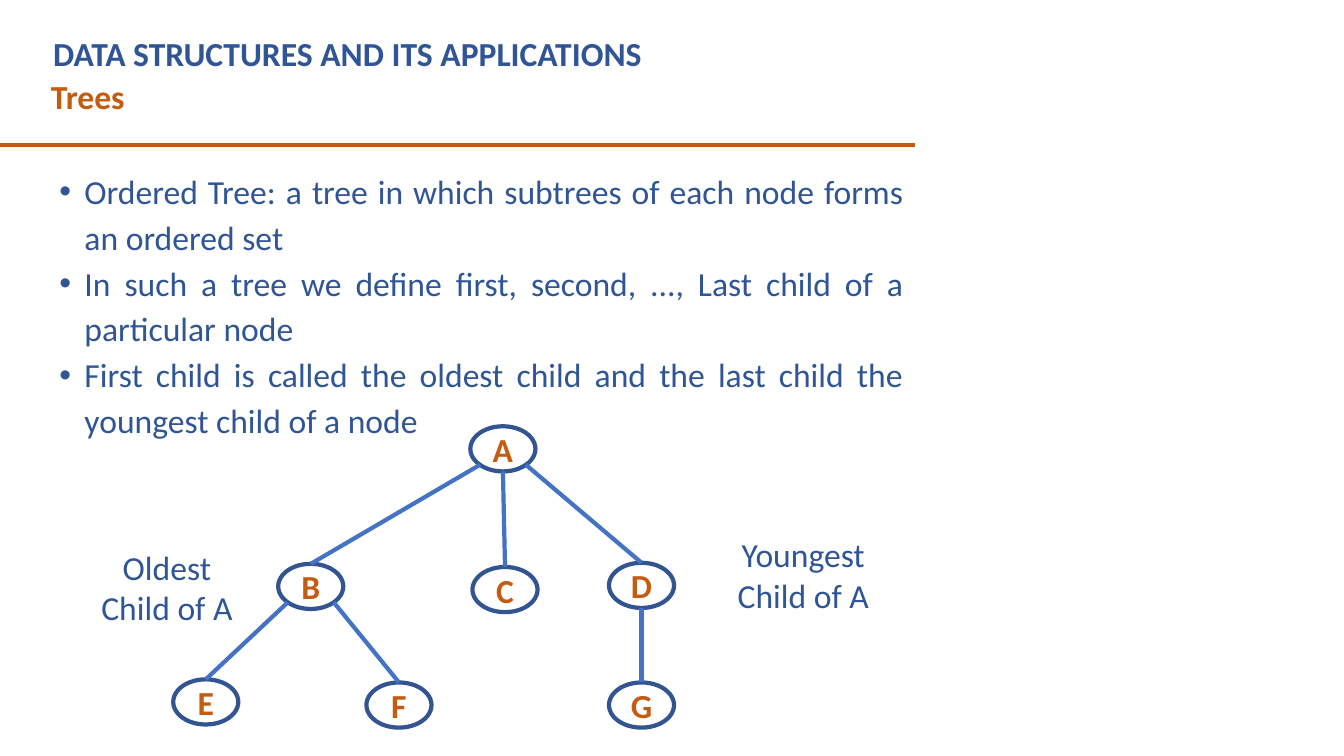
from math import sqrt

from lxml.etree import SubElement
from pptx import Presentation
from pptx.dml.color import RGBColor
from pptx.enum.shapes import MSO_CONNECTOR, MSO_SHAPE
from pptx.enum.text import MSO_ANCHOR, MSO_AUTO_SIZE, PP_ALIGN
from pptx.oxml.ns import qn
from pptx.util import Pt

PX = 9525
BLUE = "2F5597"
ORANGE = "C55A11"
OUTLINE = "325491"
EDGE = "4472C4"
WHITE = "FFFFFF"
NODE_W, NODE_H = 62, 43

BULLETS = [
    "Ordered Tree: a tree in which subtrees of each node forms an ordered set",
    "In such a tree we define first, second, ..., Last child of a particular node",
    "First child is called the oldest child and the last child the youngest child of a node",
]
NODES = {
    "A": (283, 0), "B": (100, 131), "C": (285, 134), "D": (415, 130),
    "E": (0, 241), "F": (184, 244), "G": (415, 244),
}
EDGES = [("A", "B", -1), ("A", "C", 0), ("A", "D", 1),
         ("B", "E", -1), ("B", "F", 1), ("D", "G", 0)]


def px(*values):
    return [round(v * PX) for v in values]


def rgb(value):
    return RGBColor.from_string(value)


def style(p, color, bold=False, align=PP_ALIGN.LEFT):
    p.alignment = align
    for r in p.runs:
        r.font.name = "Calibri"
        r.font.size = Pt(24)
        r.font.bold = bold
        r.font.color.rgb = rgb(color)


def add_text(s, box, text, color, bold=False, align=PP_ALIGN.LEFT):
    tf = s.shapes.add_textbox(*px(*box)).text_frame
    tf.word_wrap = True
    tf.text = text
    style(tf.paragraphs[0], color, bold, align)


def add_line(s, x1, y1, x2, y2, color):
    line = s.shapes.add_connector(MSO_CONNECTOR.STRAIGHT, *px(x1, y1, x2, y2))
    line.line.color.rgb = rgb(color)
    line.line.width = Pt(3)
    SubElement(line._element.spPr, qn("a:effectLst"))
    return line


def add_header(s, x, y, w):
    title = s.shapes.title
    title.left, title.top, title.width, title.height = px(x + 2, y, w - 53, 48)
    tf = title.text_frame
    tf.text = "DATA STRUCTURES AND ITS APPLICATIONS"
    tf.word_wrap = True
    tf.auto_size = MSO_AUTO_SIZE.NONE
    tf.vertical_anchor = MSO_ANCHOR.TOP
    style(tf.paragraphs[0], BLUE, bold=True)
    add_text(s, (x, y + 41, w, 48), "Trees", ORANGE, bold=True)
    add_line(s, -1, y + 111, 871, y + 111, ORANGE)


def add_bullets(s, x, y, w, h):
    tf = s.shapes.add_textbox(*px(x, y, w, h)).text_frame
    tf.word_wrap = True
    tf.margin_top = tf.margin_bottom = 0
    tf.text = "\n".join(BULLETS)
    for p in tf.paragraphs:
        pPr = p._p.get_or_add_pPr()
        pPr.set("marL", str(24 * PX))
        pPr.set("indent", str(-24 * PX))
        SubElement(pPr, qn("a:buFont")).set("typeface", "Arial")
        SubElement(pPr, qn("a:buChar")).set("char", "•")
        p.line_spacing = 1.14
        style(p, BLUE, align=PP_ALIGN.JUSTIFY)


def add_node(s, x, y, name):
    sp = s.shapes.add_shape(MSO_SHAPE.OVAL, *px(x, y, NODE_W, NODE_H))
    sp.shadow.inherit = False
    sp.fill.solid()
    sp.fill.fore_color.rgb = rgb(WHITE)
    sp.line.color.rgb = rgb(OUTLINE)
    sp.line.width = Pt(3)
    tf = sp.text_frame
    tf.text = name
    tf.vertical_anchor = MSO_ANCHOR.MIDDLE
    style(tf.paragraphs[0], ORANGE, bold=True, align=PP_ALIGN.CENTER)
    return sp


def add_tree(s, x, y):
    nodes = {name: add_node(s, x + dx, y + dy, name)
             for name, (dx, dy) in NODES.items()}
    for parent, child, side in EDGES:
        px_x, px_y = NODES[parent]
        drop = 1 / sqrt(2) if side else 1
        x1 = x + px_x + NODE_W / 2 * (1 + side * drop)
        y1 = y + px_y + NODE_H / 2 * (1 + drop)
        cx, cy = NODES[child]
        line = add_line(s, x1, y1, x + cx + NODE_W / 2, y + cy, EDGE)
        if side == 0:
            line.begin_connect(nodes[parent], 2)
            line._element.find(".//" + qn("a:stCxn")).set("idx", "4")
        line.end_connect(nodes[child], 0)
    add_text(s, (x - 87, y + 110, 162, 87), "Oldest Child of A", BLUE, align=PP_ALIGN.CENTER)
    add_text(s, (x + 519, y + 98, 162, 87), "Youngest Child of A", BLUE, align=PP_ALIGN.CENTER)


def main():
    prs = Presentation()
    prs.slide_width, prs.slide_height = px(1280, 720)
    s = prs.slides.add_slide(prs.slide_layouts[5])
    add_header(s, 39, 27, 840)
    add_bullets(s, 47, 157, 823, 263)
    add_tree(s, 165, 406)
    prs.save("out.pptx")


if __name__ == "__main__":
    main()
